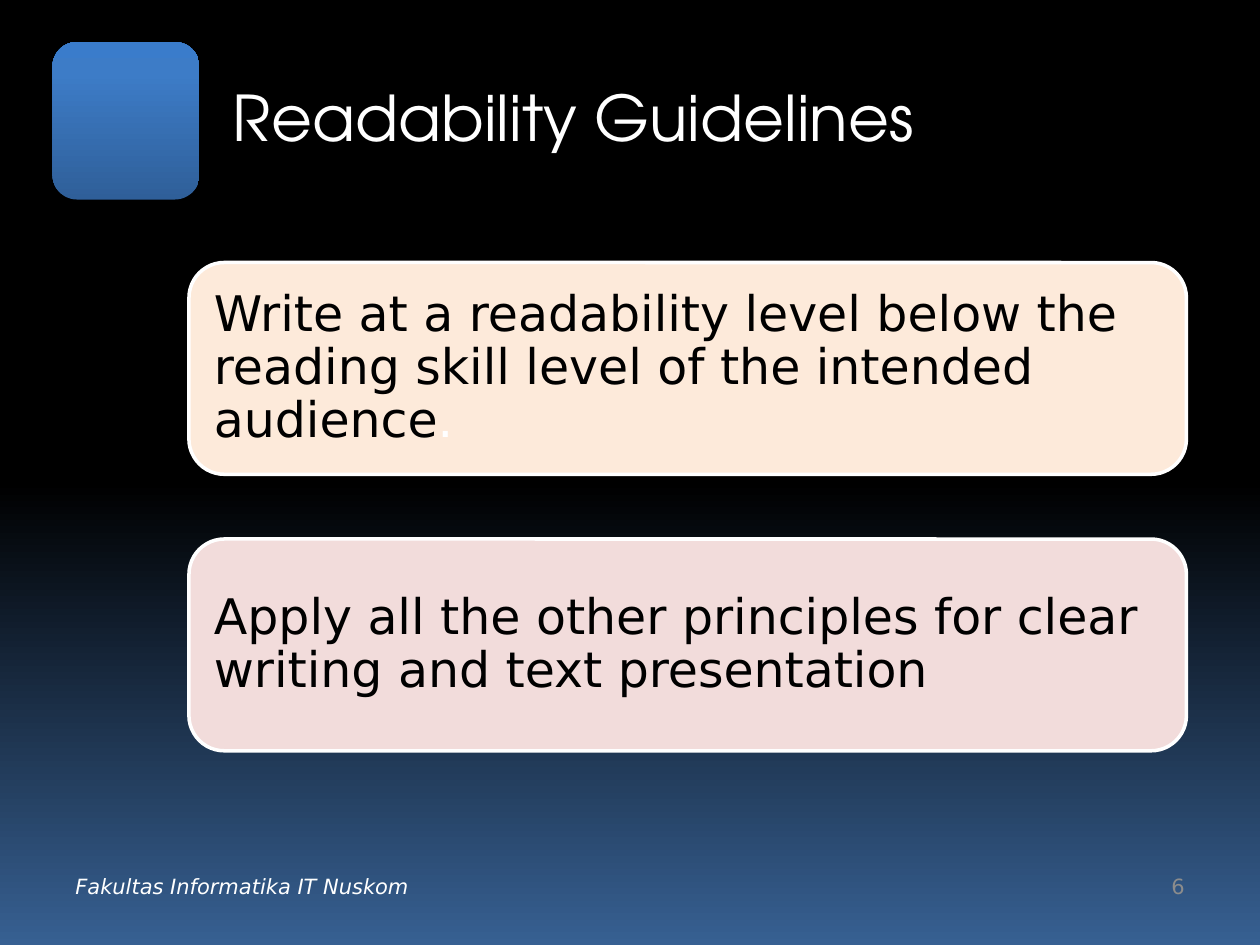
from copy import deepcopy

from pptx import Presentation
from pptx.dml.color import RGBColor
from pptx.enum.shapes import MSO_SHAPE as Shape
from pptx.enum.text import MSO_ANCHOR as Anchor, PP_ALIGN as Align
from pptx.util import Pt

BLACK = RGBColor(0x00, 0x00, 0x00)
WHITE = RGBColor(0xFF, 0xFF, 0xFF)
GRAY = RGBColor(0x8C, 0x8C, 0x8C)
NAVY = RGBColor(0x37, 0x60, 0x92)
BADGE_DARK = RGBColor(0x2F, 0x5F, 0x99)
BADGE_MID = RGBColor(0x3D, 0x7C, 0xC7)
BADGE_LIGHT = RGBColor(0x3A, 0x7C, 0xCB)
PEACH = RGBColor(0xFD, 0xEA, 0xDA)
ROSE = RGBColor(0xF2, 0xDC, 0xDB)

BODY_FONT = "DejaVu Sans"
TITLE_FONT = "TeX Gyre Adventor"

CARDS = [
    (PEACH, [("Write at a readability level below the reading skill level "
              "of the intended audience", BLACK), (".", WHITE)]),
    (ROSE, [("Apply all the other principles for clear writing "
             "and text presentation", BLACK)]),
]
CARD_TOP, CARD_STEP = 150, 158


def add_text(paragraph, text, size=12, color=WHITE, font=BODY_FONT, italic=False):
    run = paragraph.add_run()
    run.text = text
    run.font.name = font
    run.font.size = Pt(size)
    run.font.color.rgb = color
    run.font.italic = italic


def fill_gradient(fill, element, stops, angle):
    fill.gradient()
    fill.gradient_angle = angle
    stop_list = element.xpath(".//a:gsLst")[0]
    while len(stop_list) < len(stops):
        stop_list.append(deepcopy(stop_list[-1]))
    for stop, (position, color) in zip(fill.gradient_stops, stops):
        stop.position = position
        stop.color.rgb = color


class SlideBuilder:
    def __init__(self, slide):
        self.slide = slide

    def background(self, stops):
        fill_gradient(self.slide.background.fill, self.slide.element, stops, 270)

    def rounded_box(self, left, top, width, height):
        shape = self.slide.shapes.add_shape(
            Shape.ROUNDED_RECTANGLE, Pt(left), Pt(top), Pt(width), Pt(height))
        shape.shadow.inherit = False
        return shape

    def badge(self, left, top, width, height, stops):
        shape = self.rounded_box(left, top, width, height)
        fill_gradient(shape.fill, shape.element, stops, 90)
        shape.line.fill.background()

    def label(self, text, left, top, width, height, align=Align.LEFT, **style):
        box = self.slide.shapes.add_textbox(Pt(left), Pt(top), Pt(width), Pt(height))
        frame = box.text_frame
        frame.word_wrap = True
        frame.vertical_anchor = Anchor.MIDDLE
        paragraph = frame.paragraphs[0]
        paragraph.alignment = align
        add_text(paragraph, text, **style)

    def card(self, left, top, width, height, color, runs):
        shape = self.rounded_box(left, top, width, height)
        shape.fill.solid()
        shape.fill.fore_color.rgb = color
        shape.line.color.rgb = WHITE
        shape.line.width = Pt(2)
        frame = shape.text_frame
        frame.word_wrap = True
        frame.vertical_anchor = Anchor.MIDDLE
        frame.margin_left = frame.margin_right = Pt(8.4)
        frame.margin_top = frame.margin_bottom = Pt(8.4)
        paragraph = frame.paragraphs[0]
        paragraph.alignment = Align.LEFT
        paragraph.line_spacing = 0.9
        for text, text_color in runs:
            add_text(paragraph, text, size=28, color=text_color)


def main():
    presentation = Presentation()
    presentation.slide_width = Pt(720)
    presentation.slide_height = Pt(540)
    builder = SlideBuilder(presentation.slides.add_slide(presentation.slide_layouts[6]))

    builder.background([(0.51, BLACK), (1, NAVY)])
    builder.badge(30, 24, 84, 90,
                  [(0, BADGE_DARK), (0.8, BADGE_MID), (1, BADGE_LIGHT)])
    builder.label("Readability Guidelines", 126, 21.6, 558, 90,
                  size=36, font=TITLE_FONT)
    for index, (color, runs) in enumerate(CARDS):
        builder.card(108, CARD_TOP + index * CARD_STEP, 570, 121, color, runs)
    builder.label("Fakultas Informatika IT Nuskom", 36, 492, 228, 28.8, italic=True)
    builder.label("6", 516, 492, 168, 28.8, align=Align.RIGHT, color=GRAY)

    presentation.save("out.pptx")


if __name__ == "__main__":
    main()
